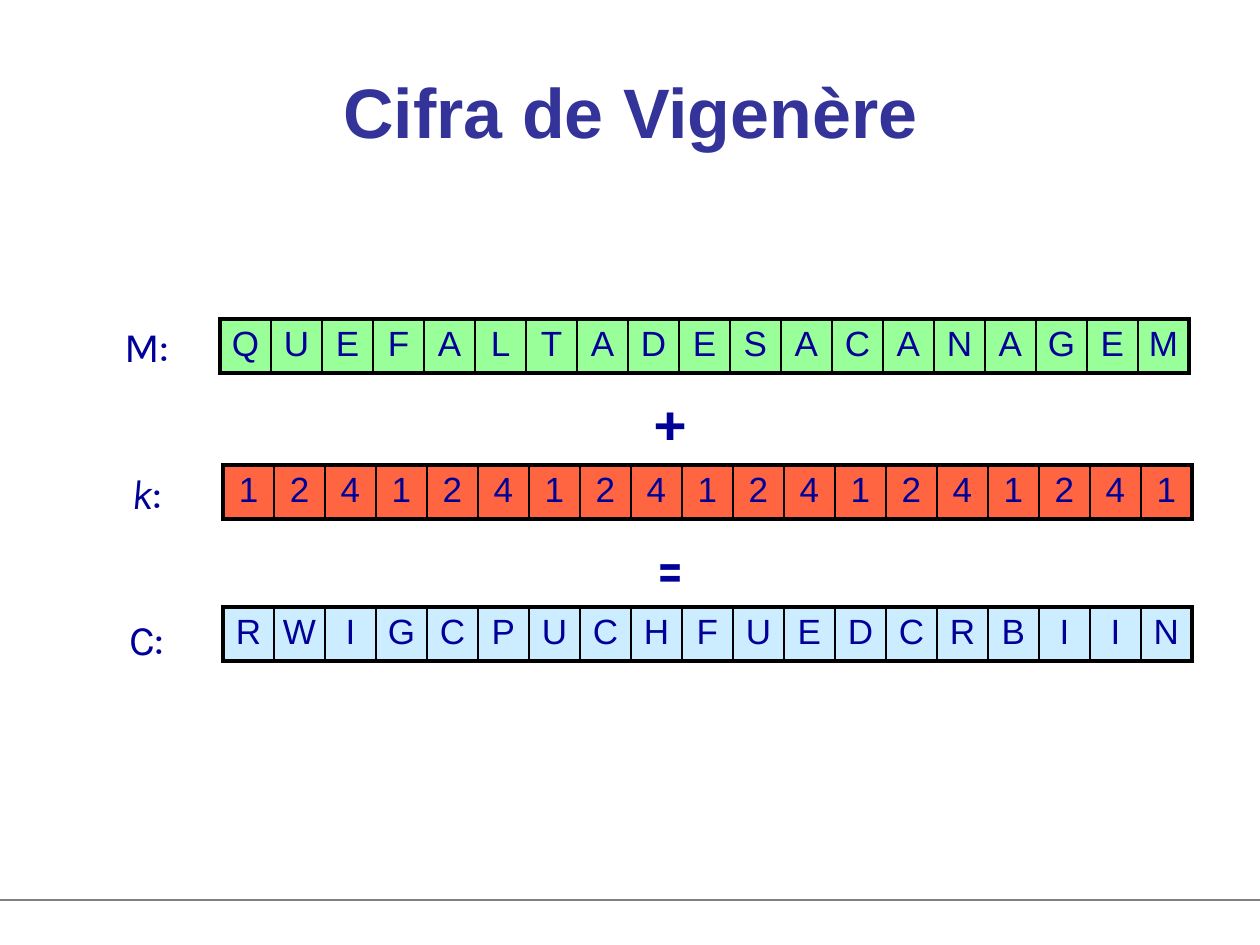
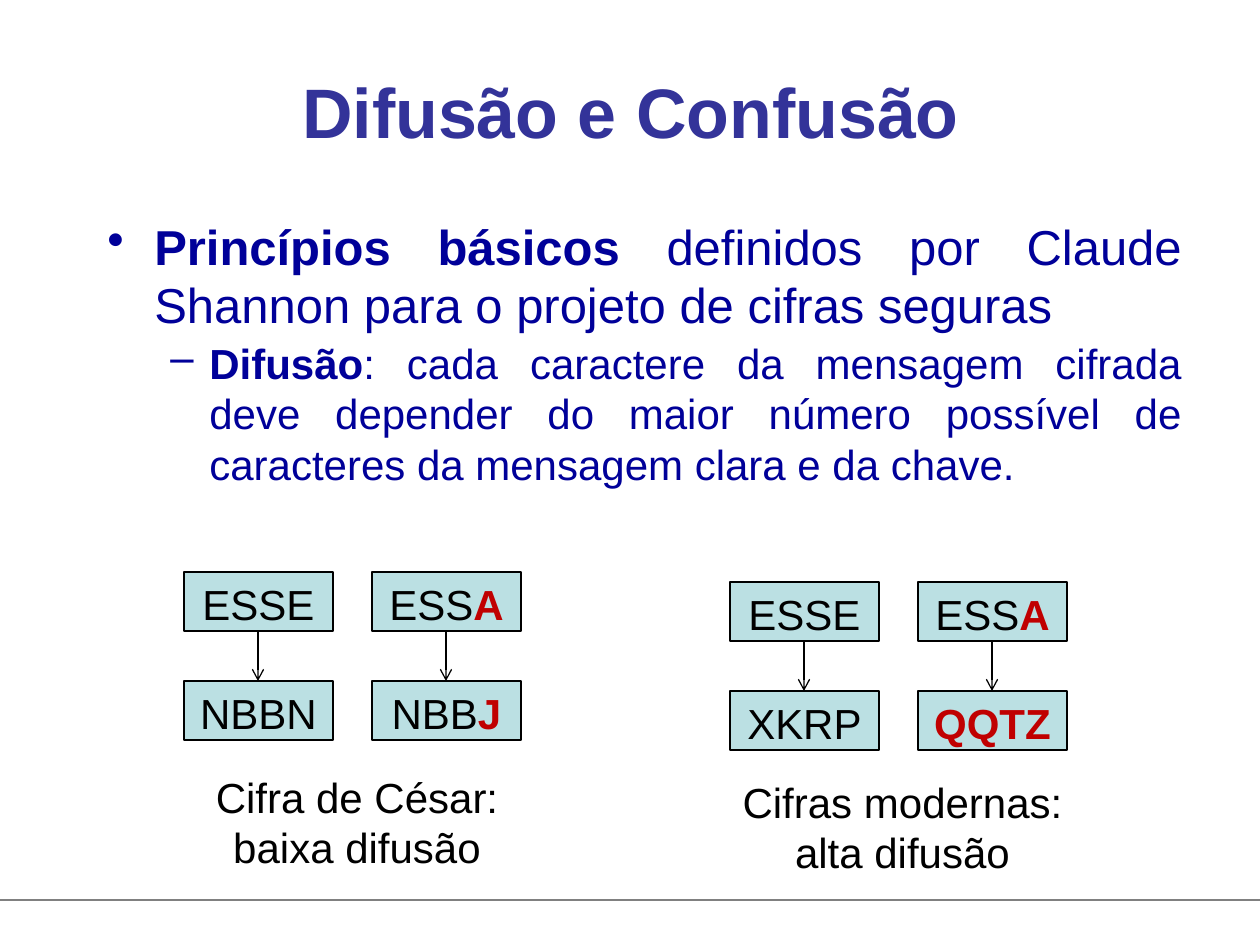
from lxml import etree
from pptx import Presentation
from pptx.dml.color import RGBColor
from pptx.enum.shapes import MSO_CONNECTOR, MSO_SHAPE
from pptx.enum.text import MSO_ANCHOR, PP_ALIGN
from pptx.oxml.ns import qn
from pptx.util import Pt

SCALE = 914400 / 126
WIDE, HIGH = 1260, 945
LINE = MSO_CONNECTOR.STRAIGHT
RECT = MSO_SHAPE.RECTANGLE
TOP, MID = MSO_ANCHOR.TOP, MSO_ANCHOR.MIDDLE
CENTER, JUST = PP_ALIGN.CENTER, PP_ALIGN.JUSTIFY

NAVY, TITLE, BLACK, RED, GRAY = "000099", "333399", "000000", "C00000", "808080"
GREEN, ORANGE, SKY, TEAL = "99FF99", "FF6541", "CCECFF", "BBE0E3"
BOLD, ITALIC = {"bold": True}, {"italic": True}
HOT = {"bold": True, "color": RED}


def px(*sizes):
    """Turn px lengths into EMU."""
    return [round(size * SCALE) for size in sizes]


def rgb(code):
    return RGBColor.from_string(code)


def style(font, color=None, **flags):
    if color:
        font.color.rgb = rgb(color)
    for name, value in flags.items():
        setattr(font, name, value)


def sub(node, tag, **attrs):
    return etree.SubElement(node, qn(tag), attrs)


class Deck:
    def __init__(self):
        self.prs = Presentation()
        self.prs.slide_width, self.prs.slide_height = px(WIDE, HIGH)
        self.slide = None

    def page(self, title):
        """Start a slide with the shared title and footer line."""
        self.slide = self.prs.slides.add_slide(self.prs.slide_layouts[6])
        self.line(0, 900, WIDE, 900, GRAY)
        frame = self.text(95, 32, 1071, 158, MID)
        self.para(frame, [(title, {})], 40, TITLE, bold=True)

    def line(self, x1, y1, x2, y2, color=BLACK, arrow=False):
        link = self.slide.shapes.add_connector(LINE, *px(x1, y1, x2, y2))
        link.line.color.rgb = rgb(color)
        link.line.width = Pt(0.75)
        if arrow:
            sub(link.line._get_or_add_ln(), "a:tailEnd", type="arrow")
        sub(link._element.spPr, "a:effectLst")

    def text(self, x, y, w, h, anchor=TOP):
        frame = self.slide.shapes.add_textbox(*px(x, y, w, h)).text_frame
        frame.word_wrap = True
        frame.vertical_anchor = anchor
        return frame

    def para(self, frame, runs, size, color, align=CENTER, face="Arial",
             gap=0, **flags):
        """Fill the empty first paragraph, or add one; runs are (text, style)."""
        para = frame.paragraphs[0]
        if para.runs:
            para = frame.add_paragraph()
        para.alignment = align
        para.space_before = Pt(gap)
        style(para.font, color, name=face, size=Pt(size), **flags)
        for words, extra in runs:
            run = para.add_run()
            run.text = words
            style(run.font, **extra)
        return para

    def bullet(self, frame, mark, left, hang, runs, size, gap=0):
        para = self.para(frame, runs, size, NAVY, JUST, gap=gap)
        props = para._p.get_or_add_pPr()
        edge, dent = px(left, -hang)
        props.set("marL", str(edge))
        props.set("indent", str(dent))
        char = etree.Element(qn("a:buChar"), char=mark)
        props.find(qn("a:defRPr")).addprevious(char)

    def label(self, x, y, runs, size, **flags):
        frame = self.text(x, y, 62, 63, MID)
        frame.margin_left = frame.margin_right = 0
        self.para(frame, runs, size, NAVY, face="Karla", **flags)

    def strip(self, x, y, signs, fill):
        """Draw a one-row table with one sign to a cell."""
        count, col, row = len(signs), 51, 54
        shape = self.slide.shapes.add_table(1, count, *px(x, y, count * col, row))
        table = shape.table
        table.first_row = table.horz_banding = False
        table.rows[0].height = px(row)[0]
        for i, sign in enumerate(signs):
            table.columns[i].width = px(col)[0]
            cell = table.cell(0, i)
            (cell.margin_left, cell.margin_right,
             cell.margin_top, cell.margin_bottom) = px(6, 6, 6, 6)
            self.para(cell.text_frame, [(sign, {})], 20, NAVY)
            widths = {"L": 1 if i else 2.25, "R": 1 if i < count - 1 else 2.25,
                      "T": 2.25, "B": 2.25}
            props = cell._tc.get_or_add_tcPr()
            for side, width in widths.items():
                edge = sub(props, f"a:ln{side}", w=str(Pt(width)))
                sub(sub(edge, "a:solidFill"), "a:srgbClr", val=BLACK)
            cell.fill.solid()
            cell.fill.fore_color.rgb = rgb(fill)

    def box(self, x, y, w, h, runs):
        shape = self.slide.shapes.add_shape(RECT, *px(x, y, w, h))
        shape.shadow.inherit = False
        shape.fill.solid()
        shape.fill.fore_color.rgb = rgb(TEAL)
        shape.line.color.rgb = rgb(BLACK)
        shape.line.width = Pt(0.75)
        shape.text_frame.vertical_anchor = TOP
        self.para(shape.text_frame, runs, 24, BLACK)

    def pairs(self, x, y, pairs):
        """Draw each plain word above its cipher, joined by an arrow."""
        w, h, across, down = 149, 59, 188, 109
        for i, (plain, cipher) in enumerate(pairs):
            left = x + i * across
            self.box(left, y, w, h, plain)
            self.box(left, y + down, w, h, cipher)
            mid = left + w // 2
            self.line(mid, y + h, mid, y + down, arrow=True)

    def note(self, x, y, w, words):
        self.para(self.text(x, y, w, 115), [(words, {})], 24, BLACK)


def cipher(deck):
    deck.page("Cifra de Vigenère")
    for y, sign in ((387, "+"), (534, "=")):
        deck.label(640, y, [(sign, {})], 32, bold=True)
    for y, runs in ((314, [("M:", {})]),
                    (461, [("k", ITALIC), (":", {})]),
                    (607, [("C:", {})])):
        deck.label(116, y, runs, 24)
    deck.strip(220, 319, "QUEFALTADESACANAGEM", GREEN)
    deck.strip(223, 465, "1241241241241241241", ORANGE)
    deck.strip(223, 607, "RWIGCPUCHFUEDCRBIIN", SKY)


def spread(deck):
    deck.page("Difusão e Confusão")
    body = deck.text(95, 210, 1099, 567)
    deck.bullet(body, "•", 47, 47, [
        ("Princípios básicos", BOLD),
        (" definidos por Claude Shannon para o projeto de cifras seguras", {}),
    ], 28)
    deck.bullet(body, "–", 102, 39, [
        ("Difusão", BOLD),
        (": cada caractere da mensagem cifrada deve depender do maior número "
         "possível de caracteres da mensagem clara e da chave.", {}),
    ], 24, gap=2)
    esse, essa = [("ESSE", {})], [("ESS", {}), ("A", HOT)]
    deck.pairs(184, 572, [(esse, [("NBBN", {})]),
                          (essa, [("NBB", {}), ("J", HOT)])])
    deck.note(193, 765, 328, "Cifra de César: baixa difusão")
    deck.pairs(730, 582, [(esse, [("XKRP", {})]), (essa, [("QQTZ", HOT)])])
    deck.note(719, 770, 367, "Cifras modernas: alta difusão")


def main():
    deck = Deck()
    cipher(deck)
    spread(deck)
    deck.prs.save("out.pptx")


if __name__ == "__main__":
    main()
